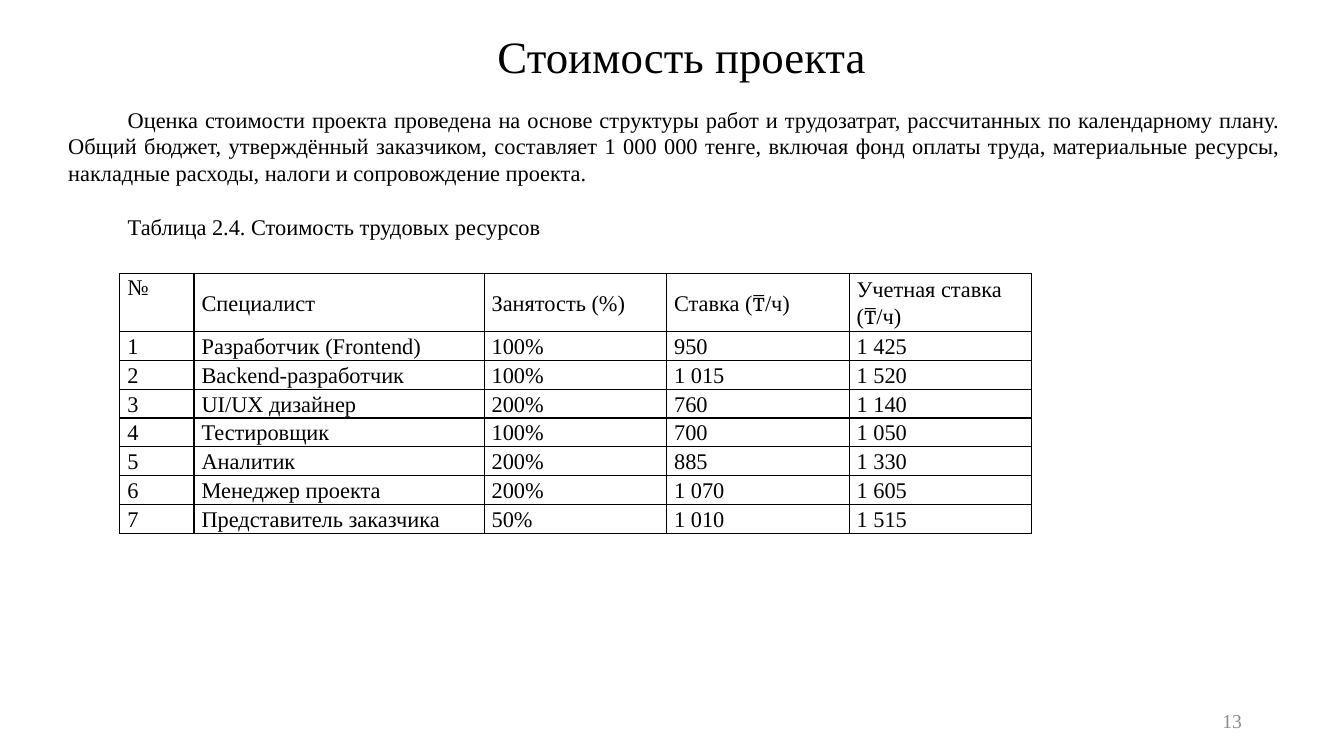
from lxml import etree
from pptx import Presentation
from pptx.dml.color import RGBColor
from pptx.enum.text import MSO_ANCHOR, PP_ALIGN
from pptx.oxml.ns import qn
from pptx.util import Cm, Pt

LEFT, MID, RIGHT, FULL = PP_ALIGN.LEFT, PP_ALIGN.CENTER, PP_ALIGN.RIGHT, PP_ALIGN.JUSTIFY
TOP, CENTER = MSO_ANCHOR.TOP, MSO_ANCHOR.MIDDLE

INTRO = (
    "Оценка стоимости проекта проведена на основе структуры работ и трудозатрат, "
    "рассчитанных по календарному плану. Общий бюджет, утверждённый заказчиком, "
    "составляет 1 000 000 тенге, включая фонд оплаты труда, материальные ресурсы, "
    "накладные расходы, налоги и сопровождение проекта."
)
RATES = [
    ("№", "Специалист", "Занятость (%)", "Ставка (₸/ч)", "Учетная ставка (₸/ч)"),
    ("1", "Разработчик (Frontend)", "100%", "950", "1 425"),
    ("2", "Backend-разработчик", "100%", "1 015", "1 520"),
    ("3", "UI/UX дизайнер", "200%", "760", "1 140"),
    ("4", "Тестировщик", "100%", "700", "1 050"),
    ("5", "Аналитик", "200%", "885", "1 330"),
    ("6", "Менеджер проекта", "200%", "1 070", "1 605"),
    ("7", "Представитель заказчика", "50%", "1 010", "1 515"),
]


def color(code):
    return RGBColor.from_string(code)


def apply(item, values):
    for name, value in values.items():
        setattr(item, name, value)


class Deck:
    face = "Times New Roman"
    ink = "000000"

    def __init__(self, wide, high):
        self.show = Presentation()
        apply(self.show, {"slide_width": Cm(wide), "slide_height": Cm(high)})
        self.slide = self.show.slides.add_slide(self.show.slide_layouts[6])

    def label(self, para, text, size, ink, form):
        apply(para, form)
        run = para.add_run()
        run.text = text
        apply(run.font, {"name": self.face, "size": Pt(size), "bold": False})
        run.font.color.rgb = color(ink or self.ink)

    def text(self, place, lines, size, align, ink=None, anchor=TOP, indent=0, gap=0):
        frame = self.slide.shapes.add_textbox(*map(Cm, place)).text_frame
        apply(frame, {"word_wrap": True, "vertical_anchor": anchor})
        for i, line in enumerate(lines):
            para = frame.add_paragraph() if i else frame.paragraphs[0]
            if indent:
                para._p.get_or_add_pPr().set("indent", str(Cm(indent)))
            form = {"alignment": align, "space_before": Pt(gap if i else 0)}
            self.label(para, line, size, ink, form)

    def border(self, cell):
        props = cell._tc.get_or_add_tcPr()
        for i, side in enumerate(("lnL", "lnR", "lnT", "lnB")):
            line = etree.Element(qn("a:" + side), w=str(Pt(1)))
            fill = etree.SubElement(line, qn("a:solidFill"))
            etree.SubElement(fill, qn("a:srgbClr"), val=self.ink)
            props.insert(i, line)

    def table(self, left, top, cols, rows, data, size):
        place = map(Cm, (left, top, sum(cols), sum(rows)))
        grid = self.slide.shapes.add_table(len(rows), len(cols), *place).table
        apply(grid, {"first_row": False, "horz_banding": False})
        for col, width in zip(grid.columns, cols):
            col.width = Cm(width)
        for row, high, words in zip(grid.rows, rows, data):
            row.height = Cm(high)
            for cell, word in zip(row.cells, words):
                apply(cell, {
                    "margin_left": Cm(0.19), "margin_right": Cm(0.19),
                    "margin_top": 0, "margin_bottom": 0,
                    "vertical_anchor": TOP if word == "№" else CENTER,
                })
                cell.fill.background()
                self.border(cell)
                form = {"alignment": LEFT, "line_spacing": 1.07}
                self.label(cell.text_frame.paragraphs[0], word, size, None, form)


def main():
    deck = Deck(33.87, 19.05)
    deck.text((3.02, 0.61, 28.32, 1.63), ["Стоимость проекта"], 32, MID)
    deck.text((23.93, 17.65, 7.62, 1.02), ["13"], 14, RIGHT, "8C8C8C", CENTER)
    notes = [INTRO, "Таблица 2.4. Стоимость трудовых ресурсов"]
    deck.text((1.47, 2.54, 31.04, 4.37), notes, 16, FULL, indent=1.5, gap=19)
    cols = [1.87, 7.31] + [4.6] * 3
    rows = [1.46] + [0.72] * 7
    deck.table(3.02, 6.9, cols, rows, RATES, 16)
    deck.show.save("out.pptx")


if __name__ == "__main__":
    main()
